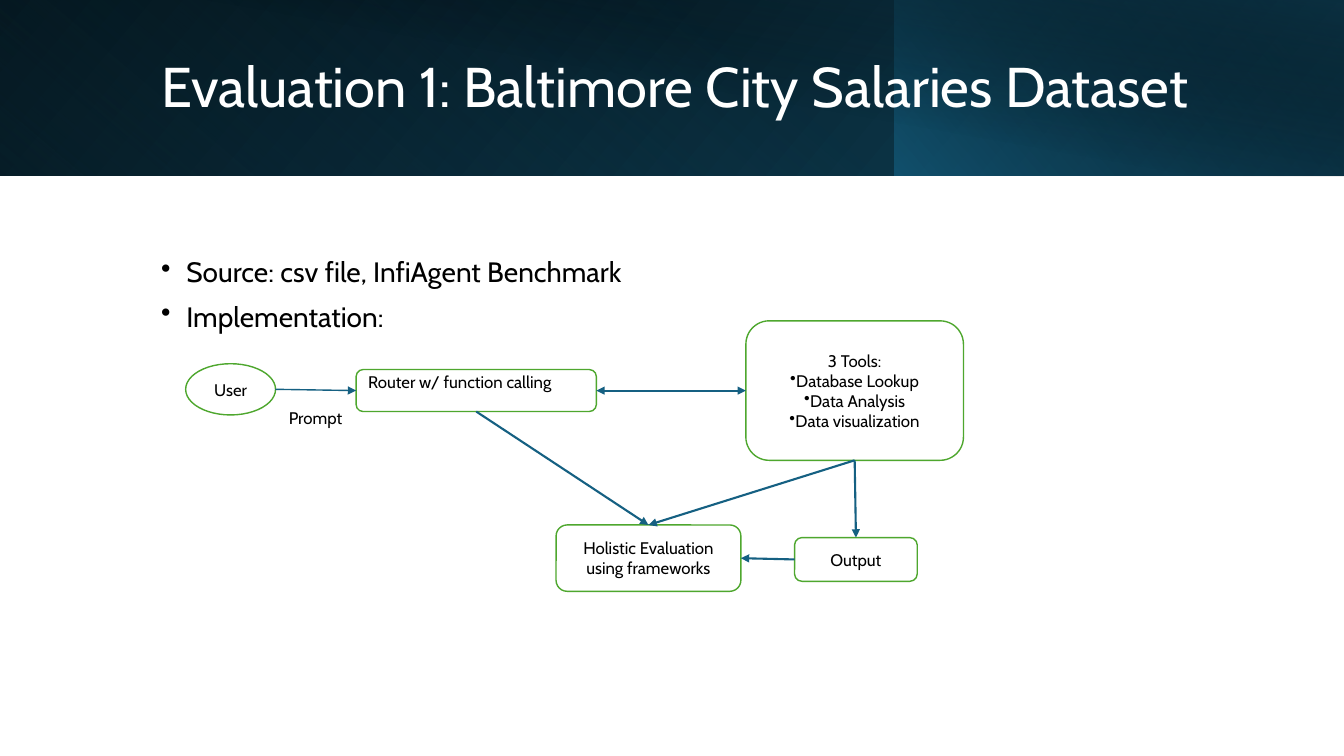
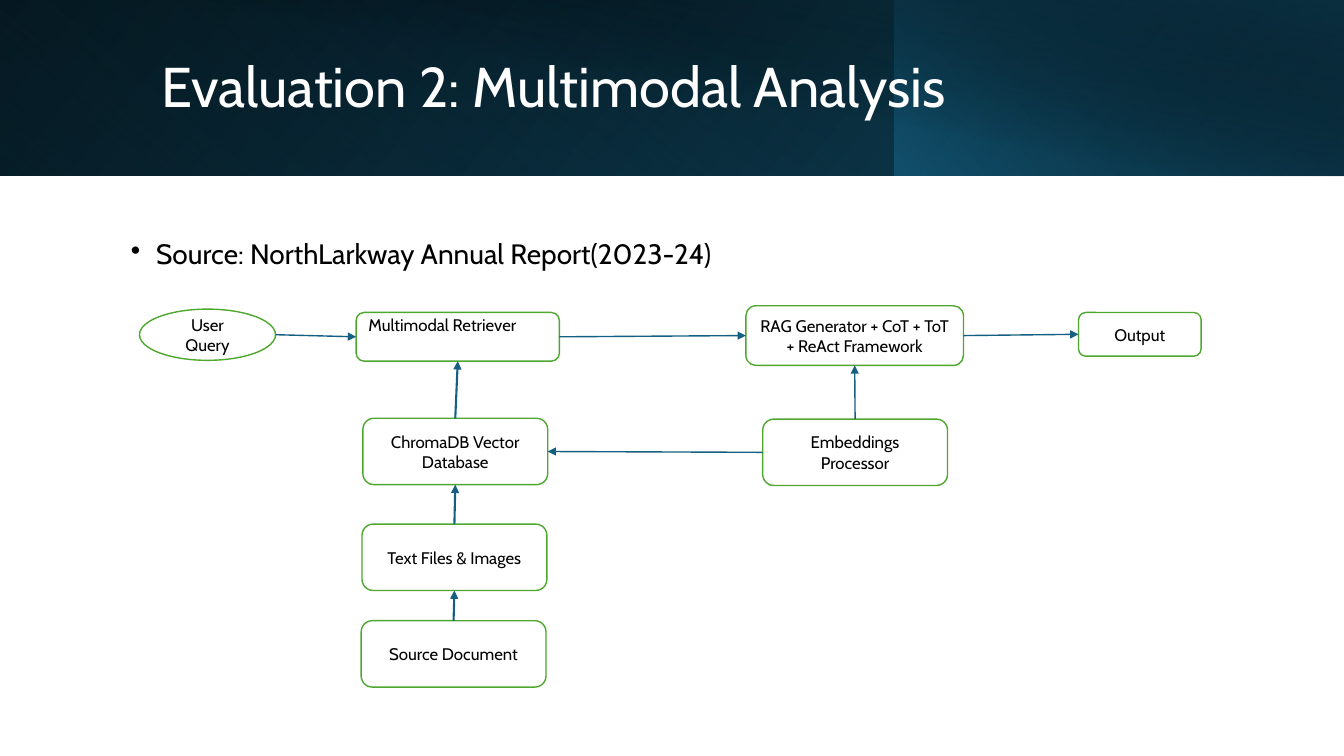
from lxml.etree import SubElement
from pptx import Presentation
from pptx.dml.color import RGBColor
from pptx.enum.shapes import MSO_CONNECTOR as LineKind, MSO_SHAPE as Shape
from pptx.enum.text import MSO_ANCHOR as Anchor, PP_ALIGN as Align
from pptx.oxml.ns import qn
from pptx.util import Inches, Pt

COLS, ROWS = 160, 90
TOP, LEFT, BOTTOM, RIGHT = range(4)
SITE_SHARES = {TOP: (0.5, 0), LEFT: (0, 0.5), BOTTOM: (0.5, 1), RIGHT: (1, 0.5)}

# Each band: grid box, frame attributes, gradient angle, stops as (position, colour, opacity %)
BANDS = [
    ((0, 0, 160, 20.9), {"flipH": "1"}, 140, [(0, "000000", 100), (1, "104862", 100)]),
    ((0, 0, 106.5, 20.9), {"flipH": "1", "rot": "10800000"}, 230,
     [(0.2, "156082", 0), (1, "0B3041", 55)]),
    ((106.5, 0, 53.5, 20.9), {"flipH": "1"}, 220, [(0, "156082", 66), (1, "000000", 30)]),
    ((6, 0, 154, 21), {}, 280, [(0.5, "000000", 0), (0.99, "0B3041", 52)]),
]

STEP = (22, 7.9)
TOOL = (25.9, 7.1)
RESULT = (14.6, 5.2)


def colour(hex_code):
    return RGBColor.from_string(hex_code)


def add_bullet(paragraph, indent=0):
    """Put a bullet before the paragraph, hanging by the indent in inches."""
    properties = paragraph._p.get_or_add_pPr()
    properties.set("marL", str(Inches(indent)))
    properties.set("indent", str(-Inches(indent)))
    SubElement(properties, qn("a:buChar"), char="•")


class Deck:
    font = "Cabin"
    ink, paper, outline, arrow_colour = "000000", "FFFFFF", "4EA72E", "156082"
    title_size, body_size, node_size = 40, 20, 12

    def __init__(self):
        self.show = Presentation()
        self.show.slide_width, self.show.slide_height = Inches(13.333), Inches(7.5)
        self.slide = None

    def grid(self, left, top, width, height):
        """Turn columns and rows into slide lengths."""
        column, row = self.show.slide_width / COLS, self.show.slide_height / ROWS
        return [round(n * unit) for n, unit in
                zip((left, top, width, height), (column, row, column, row))]

    def new_slide(self, title):
        self.slide = self.show.slides.add_slide(self.show.slide_layouts[6])
        for band in BANDS:
            self.band(*band)
        heading = self.text_box((18, 3.8, 129.8, 13.6))
        self.set_text(heading, [title], self.title_size, self.paper,
                      frame_format={"vertical_anchor": Anchor.MIDDLE},
                      line_format={"line_spacing": 0.9})

    def band(self, box, frame, angle, stops):
        band = self.slide.shapes.add_shape(Shape.RECTANGLE, *self.grid(*box))
        band.shadow.inherit = False
        band.line.fill.background()
        band.fill.gradient()
        band.fill.gradient_angle = 360 - angle
        for stop, (position, hex_code, _) in zip(band.fill.gradient_stops, stops):
            stop.position = position
            stop.color.rgb = colour(hex_code)
        tints = band.element.spPr.iter(qn("a:srgbClr"))
        for tint, (_, _, opacity) in zip(list(tints), stops):
            SubElement(tint, qn("a:alpha"), val=str(opacity * 1000))
        for name, value in frame.items():
            band.element.spPr.find(qn("a:xfrm")).set(name, value)

    def text_box(self, box):
        return self.slide.shapes.add_textbox(*self.grid(*box))

    def set_text(self, holder, lines, size, ink=None, frame_format=None, line_format=None):
        """Fill a shape with paragraphs of one style and return them."""
        frame = holder.text_frame
        for name, value in {"word_wrap": True, **(frame_format or {})}.items():
            setattr(frame, name, value)
        frame.text = "\n".join(lines)
        for paragraph in frame.paragraphs:
            for name, value in (line_format or {}).items():
                setattr(paragraph, name, value)
            font = paragraph.runs[0].font
            font.name, font.size = self.font, Pt(size)
            font.color.rgb = colour(ink or self.ink)
        return frame.paragraphs

    def bullets(self, left, top, lines):
        box = self.text_box((left, top, 128, 5.5 * len(lines)))
        style = {"line_spacing": 0.9, "space_before": Pt(10)}
        for paragraph in self.set_text(box, lines, self.body_size, line_format=style):
            add_bullet(paragraph, 0.25)

    def label(self, left, top, text):
        self.set_text(self.text_box((left, top, 9, 4.3)), [text], self.node_size)

    def node(self, left, top, size, text, items=(), kind=Shape.ROUNDED_RECTANGLE, raised=False):
        """Add a flow step; a raised one has its text at the top left."""
        node = self.slide.shapes.add_shape(kind, *self.grid(left, top, *size))
        node.shadow.inherit = False
        node.fill.solid()
        node.fill.fore_color.rgb = colour(self.paper)
        node.line.color.rgb = colour(self.outline)
        node.line.width = Pt(1)
        frame_format = ({"vertical_anchor": Anchor.TOP, "margin_top": 0} if raised
                        else {"vertical_anchor": Anchor.MIDDLE})
        paragraphs = self.set_text(
            node, [text, *items], self.node_size, frame_format=frame_format,
            line_format={"alignment": Align.LEFT if raised else Align.CENTER})
        for paragraph in paragraphs[1:]:
            add_bullet(paragraph)
        return node

    def arrow(self, source, source_side, target, target_side, width=1.5, both_ways=False):
        ends = []
        for node, side in ((source, source_side), (target, target_side)):
            across, down = SITE_SHARES[side]
            ends += [round(node.left + across * node.width), round(node.top + down * node.height)]
        arrow = self.slide.shapes.add_connector(LineKind.STRAIGHT, *ends)
        # Side numbers match the connection sites of rectangles only
        if source.auto_shape_type != Shape.OVAL:
            arrow.begin_connect(source, source_side)
        arrow.end_connect(target, target_side)
        arrow.line.color.rgb = colour(self.arrow_colour)
        arrow.line.width = Pt(width)
        outline = arrow.element.spPr.find(qn("a:ln"))
        for tag in ("a:headEnd", "a:tailEnd") if both_ways else ("a:tailEnd",):
            SubElement(outline, qn(tag), type="triangle")
        SubElement(arrow.element.spPr, qn("a:effectLst"))


def salaries_slide(deck):
    deck.new_slide("Evaluation 1: Baltimore City Salaries Dataset")
    deck.bullets(18, 30.2, ["Source: csv file, InfiAgent Benchmark", "Implementation:"])
    deck.label(33.2, 48, "Prompt")
    user = deck.node(22.1, 43.3, (10.7, 6.1), "User", kind=Shape.OVAL)
    router = deck.node(42.4, 44, (28.6, 5), "Router w/ function calling", raised=True)
    tools = deck.node(88.8, 38.2, (25.9, 16.6), "3 Tools:",
                      ["Database Lookup", "Data Analysis", "Data visualization"])
    output = deck.node(94.6, 64, RESULT, "Output")
    evaluation = deck.node(66.2, 62.5, STEP, "Holistic Evaluation using frameworks")

    deck.arrow(user, RIGHT, router, LEFT, width=1)
    deck.arrow(router, RIGHT, tools, LEFT, both_ways=True)
    deck.arrow(tools, BOTTOM, evaluation, TOP)
    deck.arrow(router, BOTTOM, evaluation, TOP)
    deck.arrow(output, LEFT, evaluation, RIGHT)
    deck.arrow(tools, BOTTOM, output, TOP)


def multimodal_slide(deck):
    deck.new_slide("Evaluation 2: Multimodal Analysis")
    deck.bullets(14.4, 28, ["Source: NorthLarkway Annual Report(2023-24)"])
    query = deck.node(16.6, 36.8, (16.2, 6.1), "User Query", kind=Shape.OVAL)
    retriever = deck.node(42.4, 37.2, (24.2, 5.8), "Multimodal Retriever", raised=True)
    generator = deck.node(88.8, 36.4, TOOL, "RAG Generator + CoT + ToT + ReAct Framework")
    output = deck.node(128.4, 37.2, RESULT, "Output")
    database = deck.node(43.2, 49.8, STEP, "ChromaDB Vector Database")
    embeddings = deck.node(90.8, 49.9, STEP, "Embeddings Processor")
    files = deck.node(43.1, 62.4, STEP, "Text Files & Images")
    document = deck.node(43, 73.9, STEP, "Source Document")

    for source, target in ((query, retriever), (retriever, generator), (generator, output)):
        deck.arrow(source, RIGHT, target, LEFT, width=1)
    for source, target in ((document, files), (files, database), (database, retriever)):
        deck.arrow(source, TOP, target, BOTTOM)
    deck.arrow(embeddings, LEFT, database, RIGHT, width=1)
    deck.arrow(embeddings, TOP, generator, BOTTOM, width=1)


def main():
    deck = Deck()
    salaries_slide(deck)
    multimodal_slide(deck)
    deck.show.save("out.pptx")


if __name__ == "__main__":
    main()
